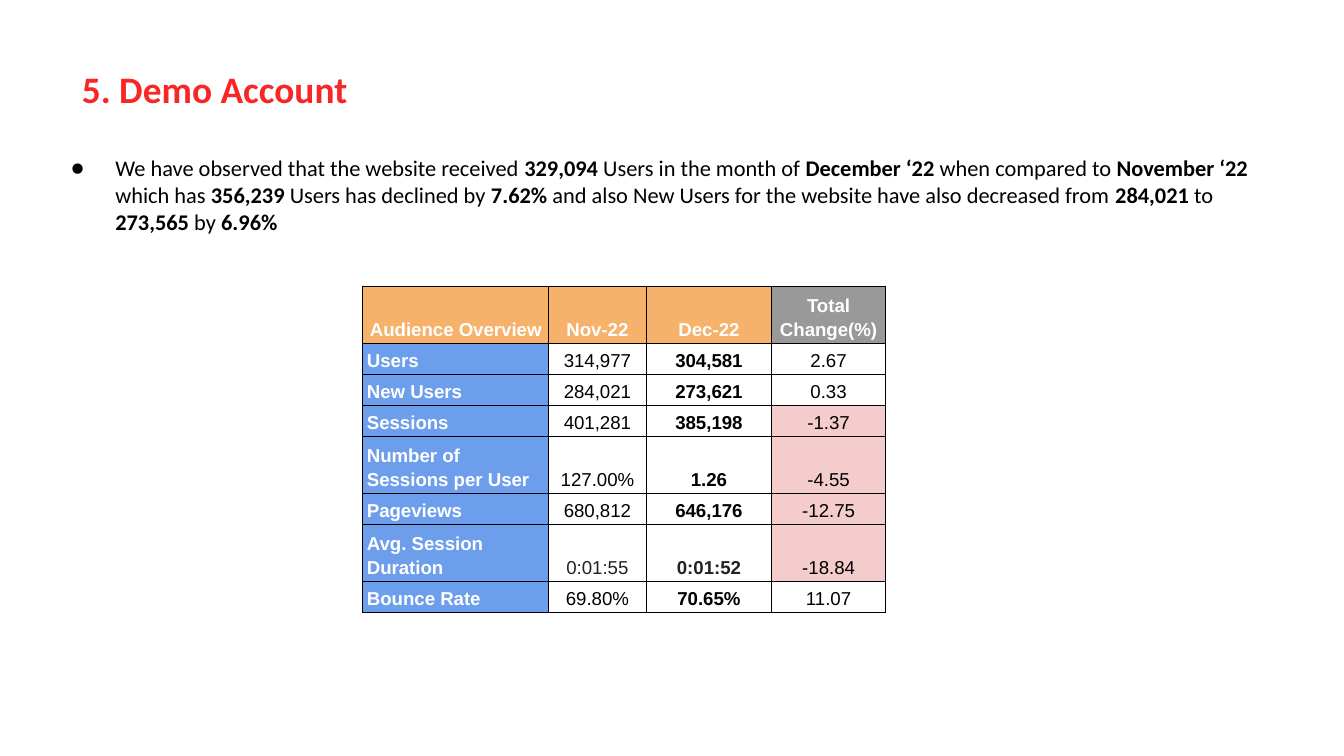
from dataclasses import dataclass

from lxml.etree import SubElement
from pptx import Presentation
from pptx.dml.color import RGBColor
from pptx.enum.text import MSO_ANCHOR as Anchor, PP_ALIGN as Align
from pptx.oxml.ns import qn
from pptx.util import Inches, Pt

COLORS = {
    "title": "F82626", "black": "000000", "white": "FFFFFF", "time": "222222",
    "header": "F6B26B", "change": "999999", "label": "6D9EEB", "decline": "F4CCCC",
}
# Bold parts stand between asterisks.
SUMMARY = (
    "We have observed that the website received *329,094* Users in the month of "
    "*December ‘22* when compared to *November ‘22* which has *356,239* Users has "
    "declined by *7.62% *and also New Users for the website have also decreased "
    "from *284,021* to *273,565* by *6.96%*"
)
SLIDE_WIDTH = 10
HEADERS = ("Audience Overview", "Nov-22", "Dec-22", "Total Change(%)")
COLUMN_WIDTHS = (1.38, 0.73, 0.93, 0.85)
ROW_HEIGHT = 0.22


@dataclass(frozen=True)
class Metric:
    label: str
    november: str
    december: str
    change: str
    color: str = "black"


@dataclass(frozen=True)
class CellStyle:
    color: str
    bold: bool
    fill: str | None = None
    align: Align = Align.CENTER


METRICS = (
    Metric("Users", "314,977", "304,581", "2.67"),
    Metric("New Users", "284,021", "273,621", "0.33"),
    Metric("Sessions", "401,281", "385,198", "-1.37"),
    Metric("Number of Sessions per User", "127.00%", "1.26", "-4.55"),
    Metric("Pageviews", "680,812", "646,176", "-12.75"),
    Metric("Avg. Session Duration", "0:01:55", "0:01:52", "-18.84", "time"),
    Metric("Bounce Rate", "69.80%", "70.65%", "11.07"),
)


def set_all(target, values: dict) -> None:
    for name, value in values.items():
        setattr(target, name, value)


def add_span(para, text: str, font: str, size: float, color: str, bold: bool) -> None:
    span = para.add_run()
    span.text = text
    set_all(span.font, {"name": font, "size": Pt(size), "bold": bold})
    span.font.color.rgb = RGBColor.from_string(COLORS[color])


def set_end_size(para, size: int) -> None:
    """Give the paragraph mark the size of the text before it."""
    SubElement(para._p, qn("a:endParaRPr"), sz=str(size * 100))


def set_frame(frame) -> None:
    sides = ("left", "top", "right", "bottom")
    set_all(frame, {f"margin_{side}": Inches(0.1) for side in sides})
    set_all(frame, {"word_wrap": True, "vertical_anchor": Anchor.TOP})


def add_title(page) -> None:
    title = page.shapes.title
    set_all(title, {"left": Inches(0.51), "top": Inches(0.39),
                    "width": Inches(9.32), "height": Inches(0.63)})
    set_frame(title.text_frame)
    para = title.text_frame.paragraphs[0]
    para.alignment = Align.LEFT
    add_span(para, "5. Demo Account", "Calibri", 20, "title", True)


def add_summary(page) -> None:
    box = page.shapes.add_textbox(Inches(0.26), Inches(1.05), Inches(9.4), Inches(0.9))
    set_frame(box.text_frame)
    para = box.text_frame.paragraphs[0]
    properties = para._p.get_or_add_pPr()
    properties.set("marL", str(Inches(0.5)))
    properties.set("indent", str(Inches(-0.33)))
    bullet_color = SubElement(properties, qn("a:buClr"))
    SubElement(bullet_color, qn("a:srgbClr"), val=COLORS["black"])
    SubElement(properties, qn("a:buSzPts"), val="1200")
    SubElement(properties, qn("a:buFont"), typeface="Calibri")
    SubElement(properties, qn("a:buChar"), char="●")
    for index, part in enumerate(SUMMARY.split("*")):
        if part:
            add_span(para, part, "Calibri", 12, "black", index % 2 == 1)
    set_end_size(para, 12)


def add_borders(cell) -> None:
    properties = cell._tc.get_or_add_tcPr()
    for side in ("lnL", "lnR", "lnT", "lnB"):
        line = SubElement(properties, qn(f"a:{side}"), w=str(Pt(0.75)))
        fill = SubElement(line, qn("a:solidFill"))
        SubElement(fill, qn("a:srgbClr"), val=COLORS["black"])


def fill_cell(cell, text: str, style: CellStyle) -> None:
    set_all(cell, {
        "margin_left": Inches(0.03), "margin_right": Inches(0.03),
        "margin_top": Inches(0.02), "margin_bottom": Inches(0.02),
        "vertical_anchor": Anchor.BOTTOM,
    })
    add_borders(cell)
    if style.fill:
        cell.fill.solid()
        cell.fill.fore_color.rgb = RGBColor.from_string(COLORS[style.fill])
    else:
        cell.fill.background()
    para = cell.text_frame.paragraphs[0]
    set_all(para, {"alignment": style.align, "line_spacing": 1.15,
                   "space_before": Pt(0), "space_after": Pt(0)})
    SubElement(para._p.get_or_add_pPr(), qn("a:buNone"))
    add_span(para, text, "Arial", 10, style.color, style.bold)
    set_end_size(para, 10)


def metric_cells(metric: Metric) -> tuple[tuple[str, CellStyle], ...]:
    change_fill = "decline" if metric.change.startswith("-") else None
    value_fill = "white" if metric.color == "time" else None
    return (
        (metric.label, CellStyle("white", True, "label", Align.LEFT)),
        (metric.november, CellStyle(metric.color, False, value_fill)),
        (metric.december, CellStyle(metric.color, True, value_fill)),
        (metric.change, CellStyle("black", False, change_fill)),
    )


def add_audience_table(page) -> None:
    header = tuple(
        (text, CellStyle("white", True, "change" if text == HEADERS[-1] else "header"))
        for text in HEADERS
    )
    rows = [header, *map(metric_cells, METRICS)]
    table = page.shapes.add_table(
        len(rows), len(HEADERS), Inches(2.7), Inches(2.13),
        Inches(sum(COLUMN_WIDTHS)), Inches(ROW_HEIGHT * len(rows)),
    ).table
    set_all(table, {"first_row": False, "horz_banding": False})
    for column, width in zip(table.columns, COLUMN_WIDTHS):
        column.width = Inches(width)
    for row, contents in zip(table.rows, rows):
        row.height = Inches(ROW_HEIGHT)
        for cell, (text, style) in zip(row.cells, contents):
            fill_cell(cell, text, style)


def main() -> None:
    deck = Presentation()
    set_all(deck, {"slide_width": Inches(SLIDE_WIDTH),
                   "slide_height": Inches(SLIDE_WIDTH * 9 / 16)})
    page = deck.slides.add_slide(deck.slide_layouts[5])
    add_title(page)
    add_summary(page)
    add_audience_table(page)
    deck.save("out.pptx")


if __name__ == "__main__":
    main()
